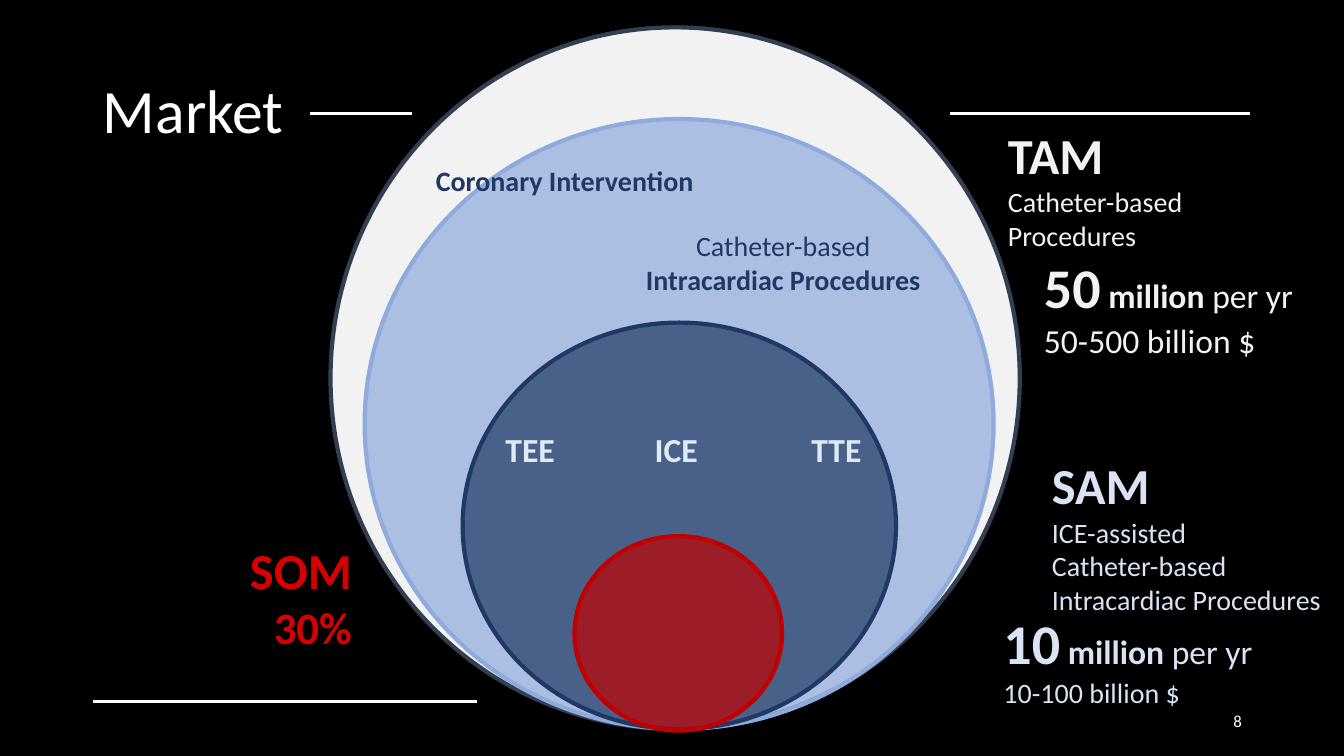
from dataclasses import dataclass

from lxml.etree import SubElement
from pptx import Presentation
from pptx.dml.color import RGBColor
from pptx.enum.shapes import MSO_CONNECTOR, MSO_SHAPE
from pptx.enum.text import MSO_ANCHOR as Anchor, MSO_AUTO_SIZE as AutoSize, PP_ALIGN as Align
from pptx.oxml.ns import qn
from pptx.slide import Slide
from pptx.util import Cm, Pt

BLACK = RGBColor(0x00, 0x00, 0x00)
WHITE = RGBColor(0xFF, 0xFF, 0xFF)
PALE_GREY = RGBColor(0xF2, 0xF2, 0xF2)
SLATE = RGBColor(0x33, 0x3F, 0x50)
SKY = RGBColor(0x8F, 0xAA, 0xDC)
NAVY = RGBColor(0x20, 0x38, 0x64)
RED = RGBColor(0xC0, 0x00, 0x00)
BRIGHT_RED = RGBColor(0xD6, 0x00, 0x00)
ICE_BLUE = RGBColor(0xDE, 0xEB, 0xF7)
LAVENDER = RGBColor(0xDA, 0xE3, 0xF3)
FONT = "Calibri"
LINE_BREAK = "\n"

Frame = tuple[float, float, float, float]


@dataclass(frozen=True)
class Circle:
    frame: Frame
    fill: RGBColor
    outline: RGBColor
    opacity: int = 100


@dataclass(frozen=True)
class Rule:
    left: float
    right: float
    height: float


@dataclass(frozen=True)
class Span:
    text: str
    size: int
    bold: bool = False


@dataclass(frozen=True)
class Label:
    frame: Frame
    color: RGBColor
    paras: list[list[Span]]
    align: Align = Align.LEFT
    anchor: Anchor = Anchor.TOP


def volume(count: str, money: str, money_size: int) -> list[list[Span]]:
    """Yearly procedure count above its money value."""
    return [
        [Span(count, 40, True), Span(" million", 24, True), Span(" per yr", 24)],
        [Span(money, money_size)],
    ]


def modality(name: str, left: float) -> Label:
    return Label((left, 10.69, 1.88, 1.27), ICE_BLUE, [[Span(name, 24, True)]], Align.CENTER)


CIRCLES = [
    Circle((8.33, 0.69, 17.37, 17.68), PALE_GREY, SLATE),
    Circle((9.19, 3, 15.85, 15.37), SKY, SKY, 70),
    Circle((11.66, 8.13, 10.92, 10.24), NAVY, NAVY, 70),
    Circle((14.48, 13.51, 5.23, 4.9), RED, RED, 70),
]
RULES = [Rule(7.82, 10.39, 2.87), Rule(2.34, 12.01, 17.68), Rule(23.93, 31.5, 2.87)]
TITLE = Label((2.34, 1.02, 29.21, 3.68), WHITE, [[Span("Market", 44)]], anchor=Anchor.MIDDLE)
LABELS = [
    Label((23.93, 17.65, 7.62, 1.02), WHITE, [[Span("8", 12)]], Align.RIGHT, Anchor.MIDDLE),
    Label((25.15, 3, 8.18, 3.51), PALE_GREY,
          [[Span("TAM", 36, True)], [Span("Catheter-based Procedures", 20)]]),
    Label((26.06, 6.25, 7.75, 3), PALE_GREY, volume("50", "50-500 billion $", 24)),
    Label((9.55, 3.99, 8.18, 1.12), NAVY, [[Span("Coronary Intervention", 20, True)]], Align.RIGHT),
    Label((15.65, 5.64, 8.18, 2.82), NAVY,
          [[Span("Catheter-based", 20), Span(LINE_BREAK, 20),
            Span("Intracardiac Procedures", 20, True)]], Align.CENTER),
    Label((26.26, 11.33, 7.5, 4.37), LAVENDER,
          [[Span("SAM", 36, True)], [Span("ICE-assisted", 20)],
           [Span("Catheter-based", 20)], [Span("Intracardiac Procedures", 20)]]),
    modality("TEE", 12.42),
    modality("ICE", 16.1),
    modality("TTE", 20.14),
    Label((25.04, 15.21, 7.92, 2.82), LAVENDER, volume("10", "10-100 billion $", 20)),
    Label((4.93, 13.46, 4.19, 4.01), BRIGHT_RED,
          [[Span("SOM", 36, True)], [Span("30%", 32, True)]], Align.RIGHT),
]


def draw_circle(page: Slide, circle: Circle) -> None:
    shape = page.shapes.add_shape(MSO_SHAPE.OVAL, *map(Cm, circle.frame))
    shape.shadow.inherit = False
    shape.fill.solid()
    shape.fill.fore_color.rgb = circle.fill
    shape.line.color.rgb = circle.outline
    shape.line.width = Pt(3)
    if circle.opacity < 100:
        color = shape.fill._xPr.find(qn("a:solidFill"))[0]
        SubElement(color, qn("a:alpha"), val=str(circle.opacity * 1000))


def draw_rule(page: Slide, rule: Rule) -> None:
    line = page.shapes.add_connector(
        MSO_CONNECTOR.STRAIGHT, Cm(rule.left), Cm(rule.height), Cm(rule.right), Cm(rule.height))
    line.line.color.rgb = WHITE
    line.line.width = Pt(2.25)
    SubElement(line._element.spPr, qn("a:effectLst"))


def write_label(box, label: Label) -> None:
    """Place a text shape and fill it with the label's formatted spans."""
    for side, length in zip(("left", "top", "width", "height"), label.frame):
        setattr(box, side, Cm(length))
    frame = box.text_frame
    settings = {"word_wrap": True, "auto_size": AutoSize.NONE, "vertical_anchor": label.anchor}
    for name, value in settings.items():
        setattr(frame, name, value)
    for index, spans in enumerate(label.paras):
        para = frame.add_paragraph() if index else frame.paragraphs[0]
        para.alignment = label.align
        for span in spans:
            if span.text == LINE_BREAK:
                para.add_line_break()
                continue
            run = para.add_run()
            run.text = span.text
            run.font.color.rgb = label.color
            for name, value in {"name": FONT, "size": Pt(span.size), "bold": span.bold}.items():
                setattr(run.font, name, value)


def main() -> None:
    deck = Presentation()
    deck.slide_width, deck.slide_height = Cm(33.87), Cm(19.05)
    page = deck.slides.add_slide(deck.slide_layouts[5])
    page.background.fill.solid()
    page.background.fill.fore_color.rgb = BLACK

    write_label(page.shapes.title, TITLE)
    page.shapes.title.text_frame.paragraphs[0].line_spacing = 0.9
    for circle in CIRCLES:
        draw_circle(page, circle)
    for rule in RULES:
        draw_rule(page, rule)
    for label in LABELS:
        write_label(page.shapes.add_textbox(*map(Cm, label.frame)), label)
    deck.save("out.pptx")


if __name__ == "__main__":
    main()
